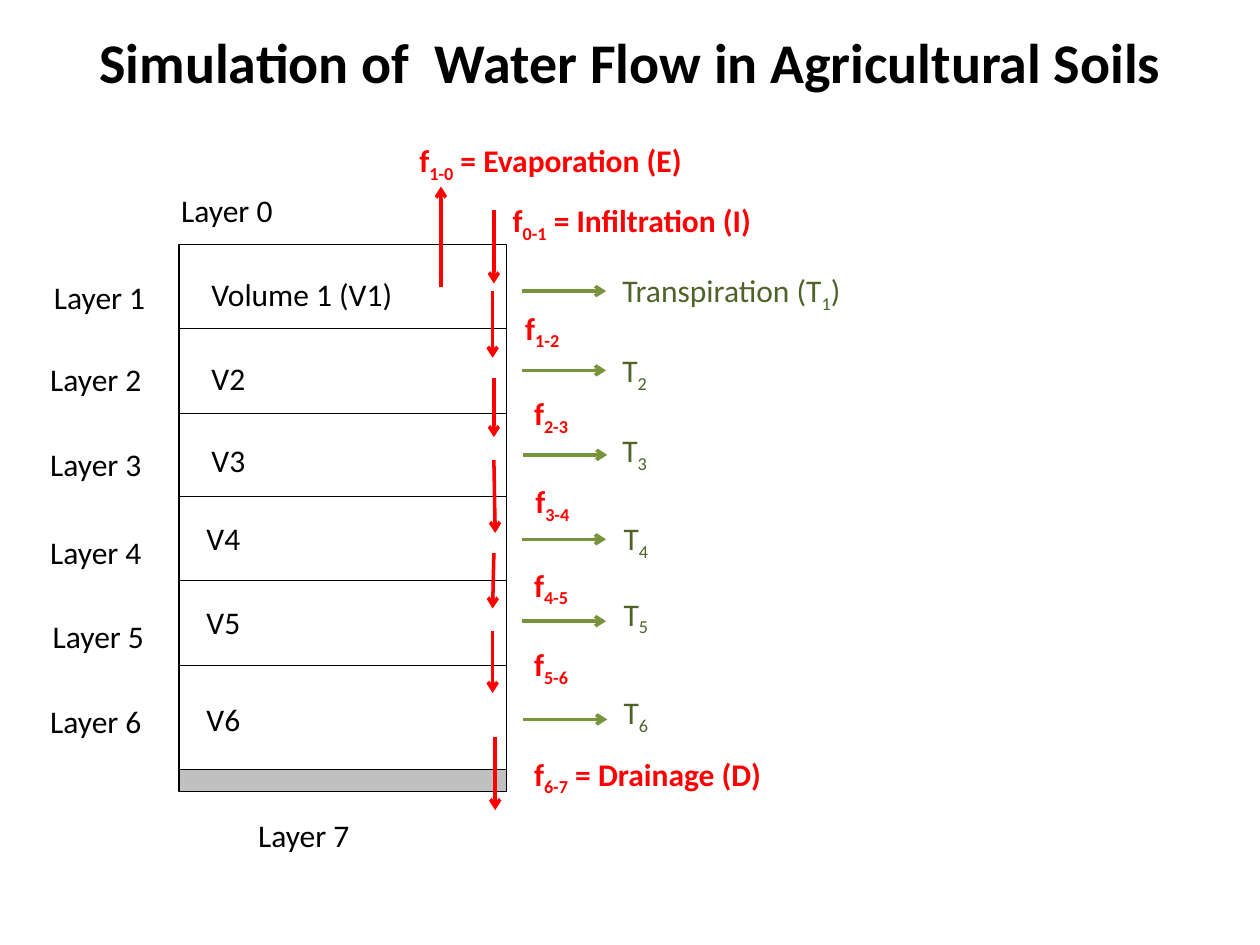
from collections import namedtuple
from itertools import accumulate

from lxml.etree import SubElement
from pptx import Presentation
from pptx.dml.color import RGBColor
from pptx.enum.shapes import MSO_CONNECTOR, MSO_SHAPE
from pptx.enum.text import MSO_AUTO_SIZE
from pptx.oxml.ns import qn
from pptx.util import Emu, Pt

Box = namedtuple("Box", "left top width height")
Theme = namedtuple("Theme", "ink flux plant plant_line base title text")

PX = 9144
TEXT_HEIGHT = 40
ROW_HEIGHTS = [67, 67, 66, 67, 67, 83]
BASE_HEIGHT = 17
FONT = "Calibri"


def color(code):
    return RGBColor.from_string(code)


THEME = Theme(
    ink=color("000000"),
    flux=color("FF0000"),
    plant=color("4F6228"),
    plant_line=color("77933C"),
    base=color("C0C0C0"),
    title=Pt(32),
    text=Pt(18),
)


def emu(*lengths):
    return [Emu(length * PX) for length in lengths]


def write(page, box, text, ink=THEME.ink, size=THEME.text, bold=False):
    frame = page.shapes.add_textbox(*emu(*box)).text_frame
    frame.word_wrap = False
    frame.auto_size = MSO_AUTO_SIZE.SHAPE_TO_FIT_TEXT
    para = frame.paragraphs[0]
    formats = {"name": FONT, "size": size, "bold": bold}
    for index, part in enumerate(text.split("_")):
        span = para.add_run()
        span.text = part
        for name, value in formats.items():
            setattr(span.font, name, value)
        span.font.color.rgb = ink
        if index % 2:
            span.font._element.set("baseline", "-25000")


def draw_arrow(page, start, end, ink):
    arrow = page.shapes.add_connector(MSO_CONNECTOR.STRAIGHT, *emu(*start, *end))
    arrow.line.color.rgb = ink
    arrow.line.width = Pt(2)
    SubElement(arrow.line._get_or_add_ln(), qn("a:tailEnd"), type="arrow")
    SubElement(arrow._element.spPr, qn("a:effectLst"))


def add_title(page, box):
    write(page, box, "Simulation of  Water Flow in Agricultural Soils",
          size=THEME.title, bold=True)


def add_soil_column(page, box):
    heights = ROW_HEIGHTS + [BASE_HEIGHT]
    tops = accumulate(heights[:-1], initial=box.top)
    column = page.shapes.add_group_shape()
    for top, height in zip(tops, heights):
        layer = column.shapes.add_shape(
            MSO_SHAPE.RECTANGLE, *emu(box.left, top, box.width, height))
        layer.shadow.inherit = False
        layer.fill.background()
        layer.line.color.rgb = THEME.ink
        layer.line.width = Pt(0.75)
    layer.fill.solid()
    layer.fill.fore_color.rgb = THEME.base


def add_volume_labels(page, box):
    labels = [(16, 19, 166, "Volume 1 (V1)"), (16, 86, 47, "V2"), (16, 151, 47, "V3"),
              (12, 213, 47, "V4"), (12, 280, 47, "V5"), (12, 357, 47, "V6")]
    for left, top, width, text in labels:
        write(page, Box(box.left + left, box.top + top, width, TEXT_HEIGHT), text)


def add_layer_labels(page, box):
    places = [(104, 0), (3, 69), (0, 134), (0, 201), (0, 271), (2, 338), (0, 405), (165, 496)]
    for number, (left, top) in enumerate(places):
        write(page, Box(box.left + left, box.top + top, 94, TEXT_HEIGHT), f"Layer {number}")


def add_fluxes(page, box):
    arrows = [(27, 121, 27, 41), (69, 60, 69, 118), (68, 124, 68, 177),
              (69, 193, 69, 240), (69, 258, 70, 316), (69, 332, 68, 376),
              (68, 394, 68, 443), (70, 478, 70, 536)]
    labels = [(0, 0, 234, "f_1-0_ = Evaporation (E)"), (74, 48, 215, "f_0-1_ = Infiltration (I)"),
              (84, 133, 51, "f_1-2"), (91, 201, 51, "f_2-3"), (92, 271, 51, "f_3-4"),
              (91, 337, 51, "f_4-5"), (91, 400, 51, "f_5-6"),
              (91, 487, 205, "f_6-7_ = Drainage (D)")]
    for left, top, right, bottom in arrows:
        draw_arrow(page, (box.left + left, box.top + top),
                   (box.left + right, box.top + bottom), THEME.flux)
    for left, top, width, text in labels:
        write(page, Box(box.left + left, box.top + top, width, TEXT_HEIGHT), text,
              ink=THEME.flux, bold=True)


def add_transpiration(page, box):
    rows = [(0, 21, 70, 0), (0, 84, 70, 64), (1, 151, 70, 127),
            (0, 218, 71, 197), (0, 283, 71, 257), (1, 361, 71, 335)]
    for number, (start, middle, left, top) in enumerate(rows, 1):
        line_left, line_top = box.left + start, box.top + middle
        draw_arrow(page, (line_left, line_top), (line_left + 67, line_top), THEME.plant_line)
        text, width = ("Transpiration (T_1_)", 202) if number == 1 else (f"T_{number}", 41)
        write(page, Box(box.left + left, box.top + top, width, TEXT_HEIGHT), text,
              ink=THEME.plant)


def main():
    deck = Presentation()
    deck.slide_width, deck.slide_height = emu(1000, 750)
    page = deck.slides.add_slide(deck.slide_layouts[6])
    column = Box(142, 194, 260, sum(ROW_HEIGHTS) + BASE_HEIGHT)
    add_title(page, Box(69, 17, 871, 64))
    add_soil_column(page, column)
    add_volume_labels(page, column)
    add_layer_labels(page, Box(30, 147, 259, 536))
    add_fluxes(page, Box(323, 107, 296, 536))
    add_transpiration(page, Box(414, 210, 272, 375))
    deck.save("out.pptx")


if __name__ == "__main__":
    main()
